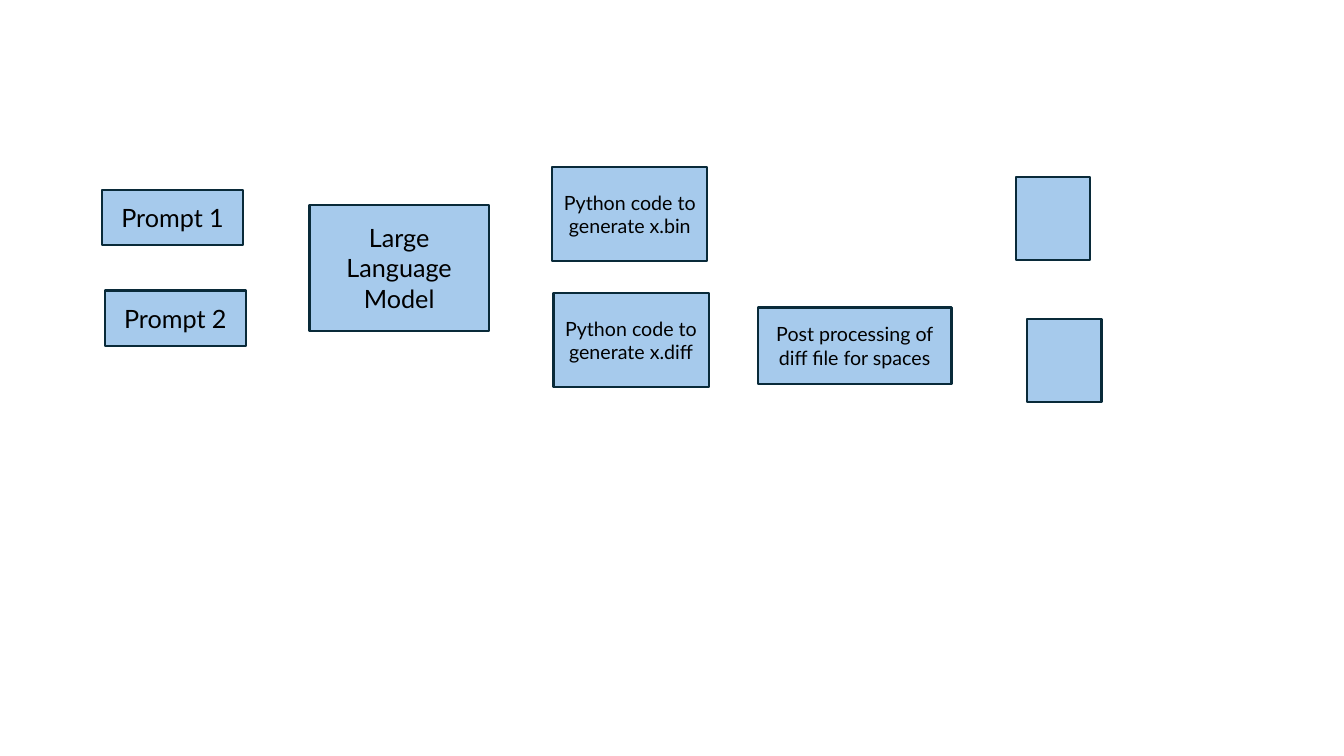
import pptx
import pptx.util
import pptx.dml.color
import pptx.enum.shapes
import pptx.enum.text

Cm = pptx.util.Cm
Pt = pptx.util.Pt


def color(hex_string):
    return pptx.dml.color.RGBColor.from_string(hex_string)


deck = pptx.Presentation()
deck.slide_width = Cm(33.87)
deck.slide_height = Cm(19.05)
page = deck.slides.add_slide(deck.slide_layouts[6])

prompt_size = (3.56, 1.4)
code_size = (3.91, 2.36)
output_size = (1.88, 2.11)

steps = [
    ("Prompt 1", 18, (2.57, 4.78), prompt_size),
    ("Prompt 2", 18, (2.64, 7.32), prompt_size),
    ("Large Language Model", 18, (7.8, 5.16), (4.52, 3.18)),
    ("Python code to generate x.bin", 14, (13.92, 4.22), code_size),
    ("Post processing of diff file for spaces", 14, (19.1, 7.75), (4.88, 1.93)),
    ("", 18, (25.6, 4.45), output_size),
    ("", 18, (25.88, 8.03), output_size),
    ("Python code to generate x.diff", 14, (13.95, 7.39), code_size),
]

for label, font_size, (left, top), (width, height) in steps:
    box = page.shapes.add_shape(
        pptx.enum.shapes.MSO_SHAPE.RECTANGLE,
        Cm(left), Cm(top), Cm(width), Cm(height),
    )
    box.shadow.inherit = False
    box.fill.solid()
    box.fill.fore_color.rgb = color("A6CAEC")
    box.line.color.rgb = color("092A39")
    box.line.width = Pt(1.5)
    if label:
        box.text_frame.word_wrap = True
        box.text_frame.vertical_anchor = pptx.enum.text.MSO_ANCHOR.MIDDLE
        para = box.text_frame.paragraphs[0]
        para.alignment = pptx.enum.text.PP_ALIGN.CENTER
        span = para.add_run()
        span.text = label
        span.font.name = "Lato"
        span.font.size = Pt(font_size)
        span.font.color.rgb = color("000000")

deck.save("out.pptx")
